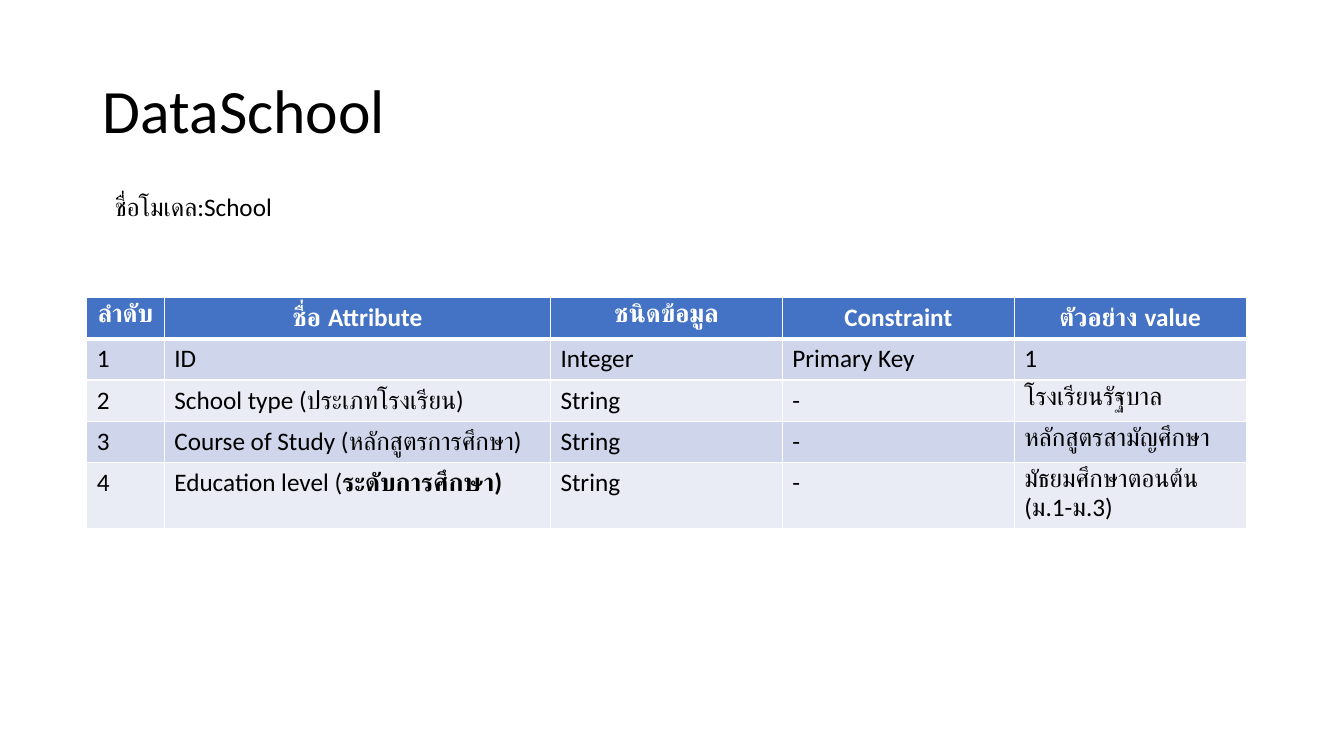
import pptx
import pptx.dml.color
import pptx.enum.text
import pptx.oxml
import pptx.oxml.ns
import pptx.util
from pptx.util import Inches

TITLE = "DataSchool"
MODEL_NAME = "ชื่อโมเดล:School"
HEADER = ["ลำดับ", "ชื่อ Attribute", "ชนิดข้อมูล", "Constraint", "ตัวอย่าง value"]
# Each cell is a list of (text, bold) runs or a plain string.
ATTRIBUTES = [
    ["1", "ID", "Integer", "Primary Key", "1"],
    ["2", "School type (ประเภทโรงเรียน)", "String", "-", "โรงเรียนรัฐบาล"],
    ["3", "Course of Study (หลักสูตรการศึกษา)", "String", "-", "หลักสูตรสามัญศึกษา"],
    ["4", [("Education level (", False), ("ระดับการศึกษา)", True)], "String", "-",
     "มัธยมศึกษาตอนต้น (ม.1-ม.3)"],
]

THEME = {
    "font": "Calibri", "title_size": 44, "text_size": 18,
    "text": "000000", "header_text": "FFFFFF", "border": "FFFFFF",
    "header_fill": "4472C4", "bands": ["CFD5EA", "E9EBF5"],
}
TITLE_BOX = (0.92, 0.4, 11.5, 1.45)
MODEL_BOX = (1.04, 1.85, 4.09, 0.4)
TABLE_LEFT, TABLE_TOP, ROW_HEIGHT = 0.86, 2.95, 0.41
COLUMN_WIDTHS = [0.77, 3.83, 2.3, 2.3, 2.3]

ALIGN = pptx.enum.text.PP_ALIGN
AUTO_SIZE = pptx.enum.text.MSO_AUTO_SIZE


def color(value):
    return pptx.dml.color.RGBColor.from_string(value)


def set_attributes(target, values):
    for name, value in values.items():
        setattr(target, name, value)


def write_text(text_frame, content, size, text_color, align=ALIGN.LEFT, bold=False):
    runs = [(content, bold)] if isinstance(content, str) else content
    paragraph = text_frame.paragraphs[0]
    paragraph.alignment = align
    for text, run_bold in runs:
        run = paragraph.add_run()
        run.text = text
        set_attributes(run.font, {"name": THEME["font"], "size": pptx.util.Pt(size),
                                  "bold": run_bold})
        run.font.color.rgb = color(text_color)
    return paragraph


def add_borders(cell, bottom_width):
    properties = cell._tc.get_or_add_tcPr()
    for side, width in {"L": 1, "R": 1, "T": 1, "B": bottom_width}.items():
        properties.append(pptx.oxml.parse_xml(
            f'<a:ln{side} {pptx.oxml.ns.nsdecls("a")} w="{pptx.util.Pt(width)}">'
            f'<a:solidFill><a:srgbClr val="{THEME["border"]}"/></a:solidFill></a:ln{side}>'))


def add_title(slide):
    title = slide.shapes.title
    set_attributes(title, dict(zip(("left", "top", "width", "height"), map(Inches, TITLE_BOX))))
    set_attributes(title.text_frame, {
        "vertical_anchor": pptx.enum.text.MSO_ANCHOR.MIDDLE,
        "auto_size": AUTO_SIZE.NONE, "word_wrap": True})
    paragraph = write_text(title.text_frame, TITLE, THEME["title_size"], THEME["text"])
    paragraph.line_spacing = 0.9


def add_model_name(slide):
    text_frame = slide.shapes.add_textbox(*map(Inches, MODEL_BOX)).text_frame
    set_attributes(text_frame, {"word_wrap": True, "auto_size": AUTO_SIZE.SHAPE_TO_FIT_TEXT})
    write_text(text_frame, MODEL_NAME, THEME["text_size"], THEME["text"])


def add_attribute_table(slide):
    rows = [HEADER] + ATTRIBUTES
    table = slide.shapes.add_table(
        len(rows), len(HEADER), Inches(TABLE_LEFT), Inches(TABLE_TOP),
        Inches(sum(COLUMN_WIDTHS)), Inches(ROW_HEIGHT * len(rows))).table
    for column, width in zip(table.columns, COLUMN_WIDTHS):
        column.width = Inches(width)
    for row_index, row in enumerate(rows):
        table.rows[row_index].height = Inches(ROW_HEIGHT)
        is_header = row_index == 0
        fill = THEME["header_fill"] if is_header else THEME["bands"][(row_index - 1) % 2]
        text_color = THEME["header_text"] if is_header else THEME["text"]
        align = ALIGN.CENTER if is_header else ALIGN.LEFT
        for column_index, content in enumerate(row):
            cell = table.cell(row_index, column_index)
            add_borders(cell, bottom_width=3 if is_header else 1)
            cell.fill.solid()
            cell.fill.fore_color.rgb = color(fill)
            write_text(cell.text_frame, content, THEME["text_size"], text_color,
                       align, is_header)


def main():
    presentation = pptx.Presentation()
    set_attributes(presentation, {"slide_width": Inches(13.33), "slide_height": Inches(7.5)})
    slide = presentation.slides.add_slide(presentation.slide_layouts.get_by_name("Title Only"))
    add_title(slide)
    add_attribute_table(slide)
    add_model_name(slide)
    presentation.save("out.pptx")


if __name__ == "__main__":
    main()
